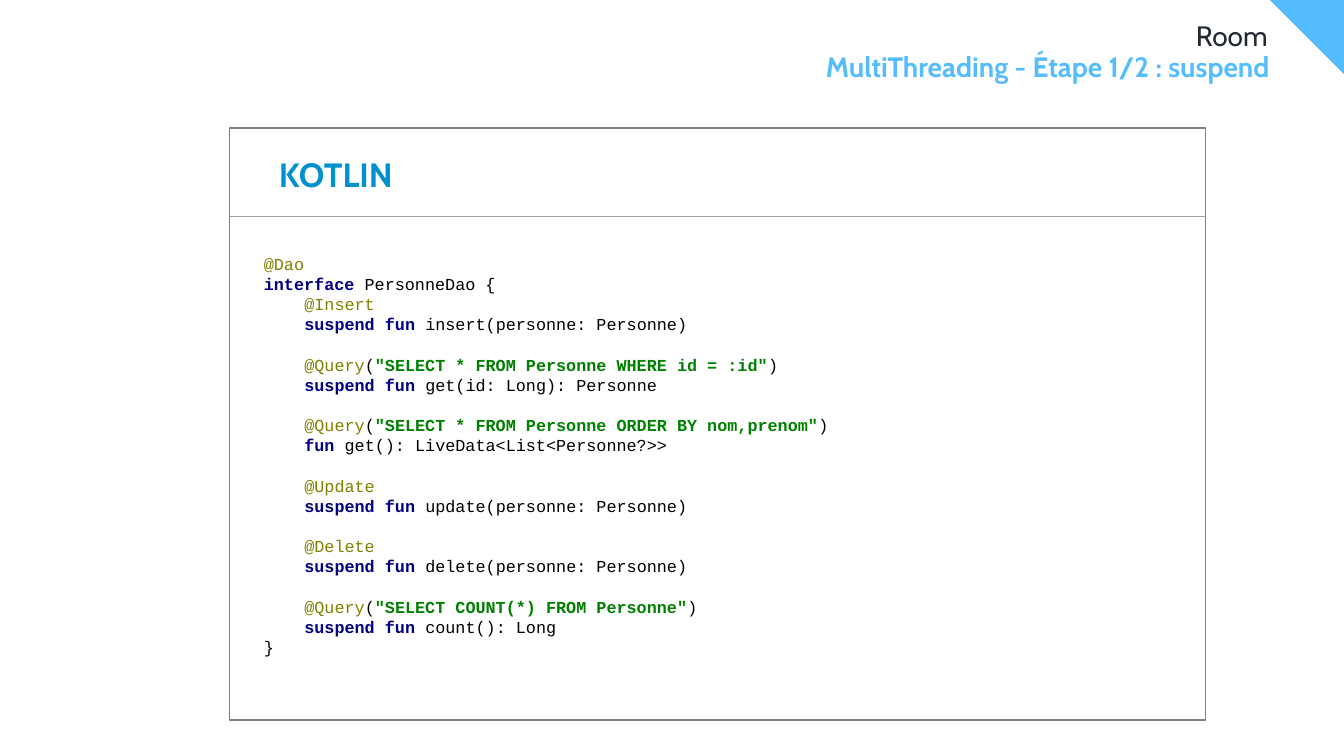
from lxml import etree
from pptx import Presentation
from pptx import util as u
from pptx.dml.color import RGBColor
from pptx.enum import shapes, text
from pptx.oxml.ns import qn

COLORS = {
    "sky": "55BDFD", "ink": "222933", "heading": "0090CD", "white": "FFFFFF",
    "border": "808080", "rule": "A5A5A5", "annotation": "808000",
    "keyword": "000080", "string": "008000", "plain": "000000",
}
DAO_METHODS = [
    ("@Insert", None, "suspend fun ", "insert(personne: Personne)"),
    ("@Query", "SELECT * FROM Personne WHERE id = :id", "suspend fun ", "get(id: Long): Personne"),
    ("@Query", "SELECT * FROM Personne ORDER BY nom,prenom", "fun ", "get(): LiveData<List<Personne?>>"),
    ("@Update", None, "suspend fun ", "update(personne: Personne)"),
    ("@Delete", None, "suspend fun ", "delete(personne: Personne)"),
    ("@Query", "SELECT COUNT(*) FROM Personne", "suspend fun ", "count(): Long"),
]


class LessonSlide:
    """Draws the elements of one lesson slide in a shared style."""

    font, code_font = "Cabin", "Courier New"
    line_pitch = u.Pt(14.4)

    def __init__(self, deck):
        self.slide = deck.slides.add_slide(deck.slide_layouts[1])

    def color(self, name):
        return RGBColor.from_string(COLORS[name])

    def place(self, item, left, top, width, height):
        item.left, item.top = u.Cm(left), u.Cm(top)
        item.width, item.height = u.Cm(width), u.Cm(height)

    def paint(self, item, fill, line=None):
        item.shadow.inherit = False
        item.fill.solid()
        item.fill.fore_color.rgb = self.color(fill)
        if line:
            item.line.color.rgb = self.color(line)
            item.line.width = u.Pt(1)
        else:
            item.line.fill.background()

    def run(self, line, words, color, size, bold=False, font=None):
        piece = line.add_run()
        piece.text = words
        piece.font.name = font or self.font
        piece.font.size = u.Pt(size)
        piece.font.bold = bold
        piece.font.color.rgb = self.color(color)

    def corner(self, left, right, depth):
        outline = self.slide.shapes.build_freeform(u.Cm(left), 0)
        outline.add_line_segments([(u.Cm(right), 0), (u.Cm(right), u.Cm(depth))])
        self.paint(outline.convert_to_shape(), "sky")

    def header(self, holder, box, words, color, bold=False):
        self.place(holder, *box)
        frame = holder.text_frame
        frame.margin_left = frame.margin_right = frame.margin_top = frame.margin_bottom = 0
        frame.vertical_anchor = text.MSO_ANCHOR.TOP
        frame.auto_size = text.MSO_AUTO_SIZE.NONE
        line = frame.paragraphs[0]
        line.alignment = text.PP_ALIGN.RIGHT
        line.line_spacing = 0.9
        line.space_before = u.Pt(0)
        properties = line._p.get_or_add_pPr()
        properties.set("marL", "0")
        properties.set("indent", "0")
        etree.SubElement(properties, qn("a:buNone"))
        self.run(line, words, color, 20, bold)

    def panel(self, left, top, width, height, rule_top, language):
        group = self.slide.shapes.add_group_shape().shapes
        frame = group.add_shape(shapes.MSO_SHAPE.RECTANGLE, u.Cm(left), u.Cm(top), u.Cm(width), u.Cm(height))
        self.paint(frame, "white", "border")
        rule = group.add_connector(
            shapes.MSO_CONNECTOR.STRAIGHT, u.Cm(left), u.Cm(rule_top), u.Cm(left + width), u.Cm(rule_top))
        rule.line.color.rgb = self.color("rule")
        rule.line.width = u.Pt(0.5)
        etree.SubElement(rule._element.spPr, qn("a:effectLst"))
        heading = group.add_textbox(u.Cm(6.78), u.Cm(3.28), u.Cm(3.53), u.Cm(1.75)).text_frame
        heading.word_wrap = True
        heading.vertical_anchor = text.MSO_ANCHOR.BOTTOM
        self.run(heading.paragraphs[0], language, "heading", 24, True)

    def code(self, box, lines):
        listing = self.slide.shapes.add_shape(shapes.MSO_SHAPE.RECTANGLE, *map(u.Cm, box))
        self.paint(listing, "white")
        frame = listing.text_frame
        frame.word_wrap = True
        frame.vertical_anchor = text.MSO_ANCHOR.MIDDLE
        frame.margin_bottom = u.Cm(0.64)
        for number, (indent, gap, pieces) in enumerate(lines):
            line = frame.add_paragraph() if number else frame.paragraphs[0]
            line.alignment = text.PP_ALIGN.LEFT
            line.line_spacing = self.line_pitch
            line.space_before = self.line_pitch if gap else u.Pt(0)
            line._p.get_or_add_pPr().set("marL", str(u.Cm(indent)))
            for words, color in pieces:
                self.run(line, words, color, 12, color in ("keyword", "string"), self.code_font)


def dao_lines():
    """Return the interface as (indent, gap above, coloured pieces) lines."""
    step = 1.02
    lines = [(0, False, [("@Dao", "annotation")]),
             (0, False, [("interface ", "keyword"), ("PersonneDao {", "plain")])]
    for number, (annotation, query, keyword, signature) in enumerate(DAO_METHODS):
        pieces = [(annotation, "annotation")]
        if query:
            pieces += [("(", "plain"), (f'"{query}"', "string"), (")", "plain")]
        lines += [(step, number > 0, pieces),
                  (step, False, [(keyword, "keyword"), (signature, "plain")])]
    return lines + [(0, False, [("}", "plain")])]


def main():
    deck = Presentation()
    deck.slide_width, deck.slide_height = u.Cm(33.87), u.Cm(19.05)
    lesson = LessonSlide(deck)
    topic, step = lesson.slide.placeholders
    lesson.corner(32, 33.87, 1.87)
    lesson.header(topic, (0.94, 0.56, 31.01, 0.79), "Room", "ink")
    lesson.header(step, (0.94, 1.35, 31.06, 1.09), "MultiThreading - Étape 1/2 : suspend", "sky", True)
    lesson.panel(5.79, 3.23, 24.59, 14.91, 5.46, "KOTLIN")
    lesson.code((6.4, 6.22, 17.22, 11.02), dao_lines())
    deck.save("out.pptx")


if __name__ == "__main__":
    main()
